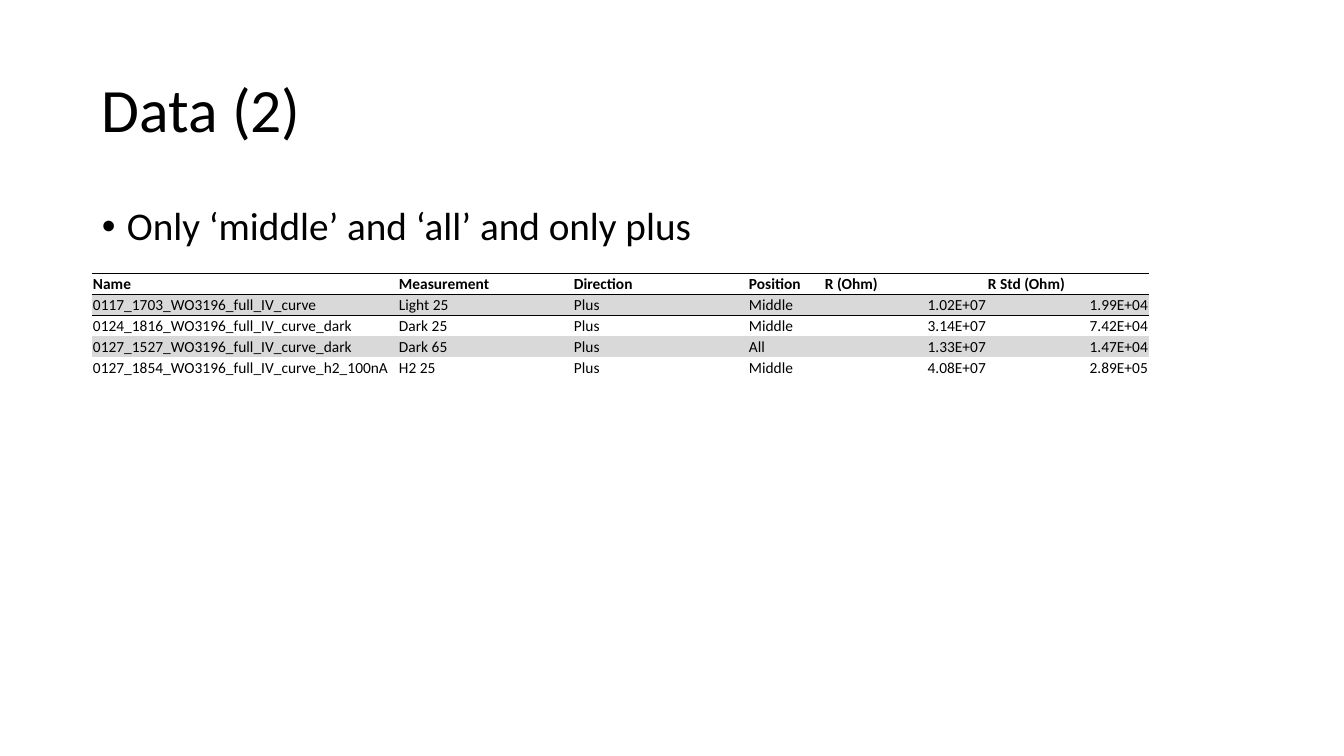
from lxml import etree
from pptx import Presentation
from pptx.dml.color import RGBColor
from pptx.enum.text import MSO_ANCHOR, PP_ALIGN
from pptx.oxml.ns import qn
from pptx.util import Emu, Pt

TOP, MIDDLE, BOTTOM = MSO_ANCHOR.TOP, MSO_ANCHOR.MIDDLE, MSO_ANCHOR.BOTTOM
LEFT, RIGHT = PP_ALIGN.LEFT, PP_ALIGN.RIGHT

TITLE = "Data (2)"
BULLET = "Only ‘middle’ and ‘all’ and only plus"
ROWS = [
    ("Name", "Measurement", "Direction", "Position", "R (Ohm)", "R Std (Ohm)"),
    ("0117_1703_WO3196_full_IV_curve", "Light 25", "Plus", "Middle", "1.02E+07", "1.99E+04"),
    ("0124_1816_WO3196_full_IV_curve_dark", "Dark 25", "Plus", "Middle", "3.14E+07", "7.42E+04"),
    ("0127_1527_WO3196_full_IV_curve_dark", "Dark 65", "Plus", "All", "1.33E+07", "1.47E+04"),
    ("0127_1854_WO3196_full_IV_curve_h2_100nA", "H2 25", "Plus", "Middle", "4.08E+07", "2.89E+05"),
]
COLUMN_WIDTHS = [306, 175, 175, 76, 163, 162]
ROW_HEIGHT = 21
FIRST_NUMBER_COLUMN = 4
RULES_BY_ROW = {0: ("a:lnT", "a:lnB"), 1: ("a:lnT",)}

SLIDE_WIDTH, SLIDE_HEIGHT = 1344, 756
MARGIN, CONTENT_WIDTH = 92, 1159
TITLE_TOP, TITLE_HEIGHT = 40, 146
BODY_TOP, BODY_HEIGHT = 202, 480
TABLE_TOP = 273
BULLET_INDENT = 25
FONT, BLACK, BAND = "Calibri", "000000", "D9D9D9"
PLAIN_STYLE = "{2D5ABB26-0587-4C30-8999-92F81FD0307C}"
EMU_PER_PX = 914400 / 100.8


def px(length):
    return Emu(round(length * EMU_PER_PX))


def color(value):
    return RGBColor.from_string(value)


def add_run(paragraph, text, size, bold=False):
    run = paragraph.add_run()
    run.text = text
    run.font.name = FONT
    run.font.size = Pt(size)
    run.font.bold = bold
    run.font.color.rgb = color(BLACK)


def add_text(slide, top, height, text, size, anchor):
    shape = slide.shapes.add_textbox(px(MARGIN), px(top), px(CONTENT_WIDTH), px(height))
    shape.text_frame.word_wrap = True
    shape.text_frame.vertical_anchor = anchor
    paragraph = shape.text_frame.paragraphs[0]
    paragraph.line_spacing = 0.9
    add_run(paragraph, text, size)
    return paragraph


def add_bullet(paragraph):
    paragraph.space_before = Pt(10)
    properties = paragraph._p.get_or_add_pPr()
    properties.set("marL", str(px(BULLET_INDENT)))
    properties.set("indent", str(-px(BULLET_INDENT)))
    etree.SubElement(properties, qn("a:buFont")).set("typeface", "Arial")
    etree.SubElement(properties, qn("a:buChar")).set("char", "•")


def add_rule(cell, edge):
    line = etree.SubElement(cell._tc.get_or_add_tcPr(), qn(edge), w=str(Pt(0.5)))
    fill = etree.SubElement(line, qn("a:solidFill"))
    etree.SubElement(fill, qn("a:srgbClr")).set("val", BLACK)


def fill_cell(cell, text, row, column):
    cell.margin_left = cell.margin_right = cell.margin_top = px(1)
    cell.margin_bottom = 0
    cell.vertical_anchor = BOTTOM
    for edge in RULES_BY_ROW.get(row, ()):
        add_rule(cell, edge)
    if row % 2:
        cell.fill.solid()
        cell.fill.fore_color.rgb = color(BAND)
    else:
        cell.fill.background()
    paragraph = cell.text_frame.paragraphs[0]
    paragraph.alignment = RIGHT if row and column >= FIRST_NUMBER_COLUMN else LEFT
    add_run(paragraph, text, 11, bold=row == 0)


def add_data_table(slide):
    frame = slide.shapes.add_table(
        len(ROWS), len(COLUMN_WIDTHS), px(MARGIN), px(TABLE_TOP),
        px(sum(COLUMN_WIDTHS)), px(ROW_HEIGHT * len(ROWS)))
    table = frame.table
    table.horz_banding = False
    table._tbl.tblPr.find(qn("a:tableStyleId")).text = PLAIN_STYLE
    for column, width in zip(table.columns, COLUMN_WIDTHS):
        column.width = px(width)
    for row, texts in enumerate(ROWS):
        table.rows[row].height = px(ROW_HEIGHT)
        for column, text in enumerate(texts):
            fill_cell(table.cell(row, column), text, row, column)


def main():
    presentation = Presentation()
    presentation.slide_width = px(SLIDE_WIDTH)
    presentation.slide_height = px(SLIDE_HEIGHT)
    slide = presentation.slides.add_slide(presentation.slide_layouts[6])
    add_text(slide, TITLE_TOP, TITLE_HEIGHT, TITLE, 44, MIDDLE)
    add_bullet(add_text(slide, BODY_TOP, BODY_HEIGHT, BULLET, 28, TOP))
    add_data_table(slide)
    presentation.save("out.pptx")


if __name__ == "__main__":
    main()
